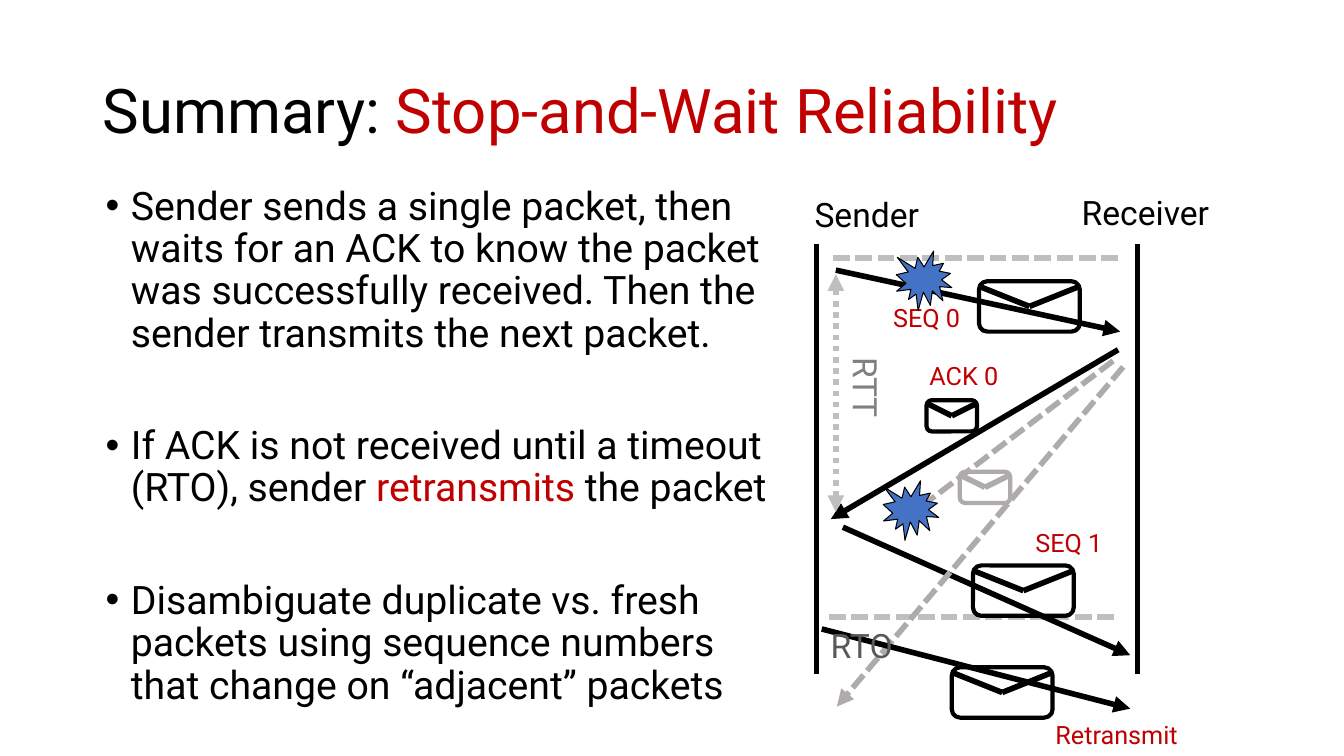
from dataclasses import dataclass

import lxml.etree
import pptx
import pptx.dml.color
import pptx.enum.dml
import pptx.enum.shapes
import pptx.enum.text
import pptx.oxml.ns
import pptx.util

Inches = pptx.util.Inches
Pt = pptx.util.Pt
qn = pptx.oxml.ns.qn
SHAPE = pptx.enum.shapes.MSO_SHAPE
DASH = pptx.enum.dml.MSO_LINE.SQUARE_DOT
DOT = pptx.enum.dml.MSO_LINE.ROUND_DOT

FONT = "Roboto"
BLACK, RED, BLUE = "000000", "C00000", "4472C4"
PALE, GRAY = "BFBFBF", "AFABAB"


@dataclass
class Line:
    start: tuple[float, float]
    end: tuple[float, float]
    color: str = BLACK
    dash: object = None
    head: bool = False
    tail: bool = False


@dataclass
class Mail:
    left: float
    top: float
    width: float = 1
    height: float = 0.5
    color: str = BLACK


@dataclass
class Label:
    text: str
    box: tuple[float, float, float, float]
    size: int = 18
    color: str = RED
    turn: int = 0


LINES = [
    Line((8.1, 2.42), (8.1, 6.69)),
    Line((11.28, 2.42), (11.28, 6.69)),
    Line((8.29, 2.68), (11.11, 3.29), tail=True),
    Line((11.09, 3.47), (8.24, 5.15), tail=True),
    Line((8.22, 6.12), (11.07, 6.12), PALE, DASH),
    Line((8.26, 2.56), (11.11, 2.56), PALE, DASH),
    Line((8.29, 2.72), (8.29, 5.08), PALE, DOT, head=True, tail=True),
    Line((8.36, 5.23), (11.21, 6.5), tail=True),
    Line((11.14, 3.64), (8.3, 7.01), GRAY, DASH, tail=True),
    Line((8.15, 6.24), (11.21, 7.03), tail=True),
    Line((11.04, 3.58), (9.04, 5.1), GRAY, DASH, tail=True),
]
MAILS = [
    Mail(9.71, 2.79),
    Mail(9.19, 3.97, 0.5, 0.31),
    Mail(9.65, 5.61),
    Mail(9.44, 6.62),
    Mail(9.52, 4.68, 0.5, 0.31, GRAY),
]
LABELS = [
    Label("Sender", (7.98, 1.87, 1.51, 0.5), 24, BLACK),
    Label("Receiver", (10.63, 1.85, 1.68, 0.5), 24, BLACK),
    Label("RTT", (8.04, 3.75, 1.1, 0.5), 24, "808080", 90),
    Label("RTO", (8.14, 6.15, 1.1, 0.5), 24, "595959"),
    Label("SEQ 0", (8.76, 2.95, 1.08, 0.4)),
    Label("ACK 0", (9.12, 3.53, 1.08, 0.4)),
    Label("SEQ 1", (10.17, 5.18, 1.08, 0.4)),
    Label("Retransmit", (10.37, 7.09, 2.53, 0.4)),
]
LOSSES = [(8.76, 4.77), (8.89, 2.49)]
TITLE = [[("Summary: ", BLACK), ("Stop-and-Wait Reliability", RED)]]
POINTS = [
    [("Sender sends a single packet, then waits for an ACK to know the packet was "
      "successfully received. Then the sender transmits the next packet.", BLACK)],
    [("If ACK is not received until a timeout (RTO), sender ", BLACK),
     ("retransmits", RED), (" the packet", BLACK)],
    [("Disambiguate duplicate vs. fresh packets using sequence numbers that change "
      "on “adjacent” packets", BLACK)],
]


def hue(code: str) -> pptx.dml.color.RGBColor:
    return pptx.dml.color.RGBColor.from_string(code)


def write(shapes, text: list, box: tuple, *, size: int, lead: float = 1.0,
          gap: float = 0, bullet: bool = False, middle: bool = False, turn: int = 0) -> None:
    """Add a text box; text is a list of paragraphs, each a list of (words, color)."""
    area = shapes.add_textbox(*map(Inches, box))
    area.rotation = turn
    frame = area.text_frame
    frame.word_wrap = True
    if middle:
        frame.vertical_anchor = pptx.enum.text.MSO_ANCHOR.MIDDLE
    for index, parts in enumerate(text):
        para = frame.paragraphs[0] if index == 0 else frame.add_paragraph()
        para.line_spacing = lead
        para.space_before = Pt(gap if index else 0)
        if bullet:
            props = para._p.get_or_add_pPr()
            props.set("marL", str(Inches(0.25)))
            props.set("indent", str(-Inches(0.25)))
            lxml.etree.SubElement(props, qn("a:buFont"), typeface="Arial")
            lxml.etree.SubElement(props, qn("a:buChar"), char="•")
        for words, color in parts:
            run = para.add_run()
            run.text = words
            run.font.name = FONT
            run.font.size = Pt(size)
            run.font.color.rgb = hue(color)


def draw(shapes, line: Line) -> None:
    link = shapes.add_connector(pptx.enum.shapes.MSO_CONNECTOR.STRAIGHT,
                                *map(Inches, line.start + line.end))
    link.line.color.rgb = hue(line.color)
    link.line.width = Pt(4)
    if line.dash is not None:
        link.line.dash_style = line.dash
    props = link._element.spPr
    stroke = props.find(qn("a:ln"))
    for shown, tag in ((line.head, "a:headEnd"), (line.tail, "a:tailEnd")):
        if shown:
            lxml.etree.SubElement(stroke, qn(tag), type="triangle")
    lxml.etree.SubElement(props, qn("a:effectLst"))


def post(shapes, mail: Mail) -> None:
    """Draw an envelope as one group: a rounded body and a two-line flap."""
    group = shapes.add_group_shape().shapes
    body = group.add_shape(SHAPE.ROUNDED_RECTANGLE, Inches(mail.left), Inches(mail.top),
                           Inches(mail.width), Inches(mail.height))
    body.shadow.inherit = False
    body.fill.background()
    body.line.color.rgb = hue(mail.color)
    body.line.width = Pt(3)
    edge = mail.top + mail.height * 0.1
    tip = (mail.left + mail.width / 2, mail.top + mail.height / 2)
    draw(group, Line((mail.left, edge), tip, mail.color))
    draw(group, Line(tip, (mail.left + mail.width, edge), mail.color))


def burst(shapes, left: float, top: float) -> None:
    star = shapes.add_shape(SHAPE.EXPLOSION1, Inches(left), Inches(top),
                            Inches(0.55), Inches(0.59))
    star.shadow.inherit = False
    star.fill.solid()
    star.fill.fore_color.rgb = hue(BLUE)
    star.line.color.rgb = hue(BLACK)
    star.line.width = Pt(0.75)


def main() -> None:
    deck = pptx.Presentation()
    deck.slide_width, deck.slide_height = Inches(13.33), Inches(7.5)
    shapes = deck.slides.add_slide(deck.slide_layouts[6]).shapes
    write(shapes, TITLE, (0.92, 0.4, 11.5, 1.45), size=44, lead=0.9, middle=True)
    write(shapes, POINTS, (0.95, 1.8, 6.92, 5.5), size=28, lead=0.9, gap=50, bullet=True)
    for line in LINES:
        draw(shapes, line)
    for mail in MAILS:
        post(shapes, mail)
    for label in LABELS:
        write(shapes, [[(label.text, label.color)]], label.box,
              size=label.size, turn=label.turn)
    for left, top in LOSSES:
        burst(shapes, left, top)
    deck.save("out.pptx")


if __name__ == "__main__":
    main()
